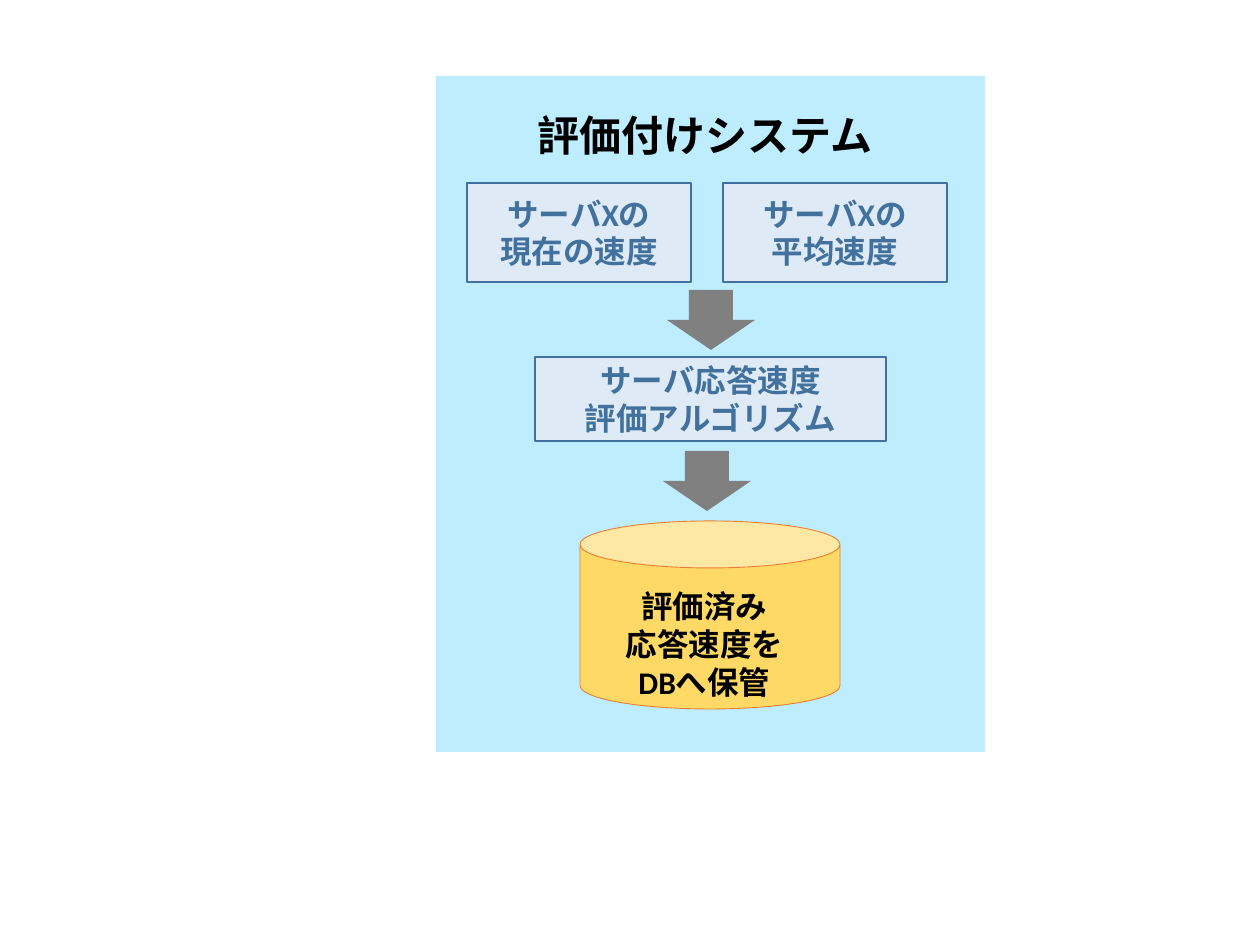
from pptx import Presentation
from pptx.dml.color import RGBColor
from pptx.enum.shapes import MSO_SHAPE
from pptx.enum.text import MSO_ANCHOR, MSO_AUTO_SIZE, PP_ALIGN
from pptx.util import Inches, Pt

PIXEL = Inches(1) / 126
PANEL_BLUE = RGBColor(0xBD, 0xED, 0xFF)
BOX_BLUE = RGBColor(0xDE, 0xEB, 0xF7)
DARK_BLUE = RGBColor(0x41, 0x71, 0x9C)
YELLOW = RGBColor(0xFF, 0xD9, 0x66)
ORANGE = RGBColor(0xED, 0x7D, 0x31)
GRAY = RGBColor(0x80, 0x80, 0x80)
BLACK = RGBColor(0x00, 0x00, 0x00)


def add_filled_shape(kind, bounds, fill, line=None, width=1):
    shape = slide.shapes.add_shape(kind, *[round(value * PIXEL) for value in bounds])
    shape.shadow.inherit = False
    shape.fill.solid()
    shape.fill.fore_color.rgb = fill
    if line is None:
        shape.line.fill.background()
    else:
        shape.line.color.rgb = line
        shape.line.width = Pt(width)
    return shape


def write_text(shape, text, size, color, alignment, anchor):
    text_frame = shape.text_frame
    text_frame.text = text
    text_frame.vertical_anchor = anchor
    for paragraph in text_frame.paragraphs:
        paragraph.alignment = alignment
        for run in paragraph.runs:
            run.font.name = "Calibri"
            run.font.size = Pt(size)
            run.font.bold = True
            run.font.color.rgb = color


presentation = Presentation()
presentation.slide_width = Inches(10)
presentation.slide_height = Inches(7.5)
slide = presentation.slides.add_slide(presentation.slide_layouts[5])

add_filled_shape(MSO_SHAPE.RECTANGLE, (436, 76, 549, 676), PANEL_BLUE)
add_filled_shape(MSO_SHAPE.CAN, (580, 521, 260, 188), YELLOW, ORANGE, 0.5)

boxes = [
    ("サーバXの\v現在の速度", (467, 183, 224, 99)),
    ("サーバXの\v平均速度", (723, 183, 224, 99)),
    ("サーバ応答速度\v評価アルゴリズム", (535, 357, 351, 84)),
]
for text, bounds in boxes:
    box = add_filled_shape(MSO_SHAPE.RECTANGLE, bounds, BOX_BLUE, DARK_BLUE)
    write_text(box, text, 18, DARK_BLUE, PP_ALIGN.CENTER, MSO_ANCHOR.MIDDLE)

for left, top in [(667, 290), (663, 451)]:
    add_filled_shape(MSO_SHAPE.DOWN_ARROW, (left, top, 88, 60), GRAY)

title = slide.shapes.title
title.left, title.top, title.width, title.height = [
    round(value * PIXEL) for value in (525, 103, 364, 63)
]
write_text(title, "評価付けシステム", 24, BLACK, PP_ALIGN.LEFT, MSO_ANCHOR.TOP)
title.text_frame.word_wrap = False
title.text_frame.auto_size = MSO_AUTO_SIZE.SHAPE_TO_FIT_TEXT
slide.shapes.element.append(title.element)

storage_label = slide.shapes.add_textbox(
    *[round(value * PIXEL) for value in (541, 581, 327, 165)]
)
write_text(
    storage_label, "評価済み\n応答速度を\vDBへ保管", 18, BLACK, PP_ALIGN.CENTER, MSO_ANCHOR.TOP
)
storage_label.text_frame.word_wrap = True
storage_label.text_frame.auto_size = MSO_AUTO_SIZE.SHAPE_TO_FIT_TEXT

presentation.save("out.pptx")
